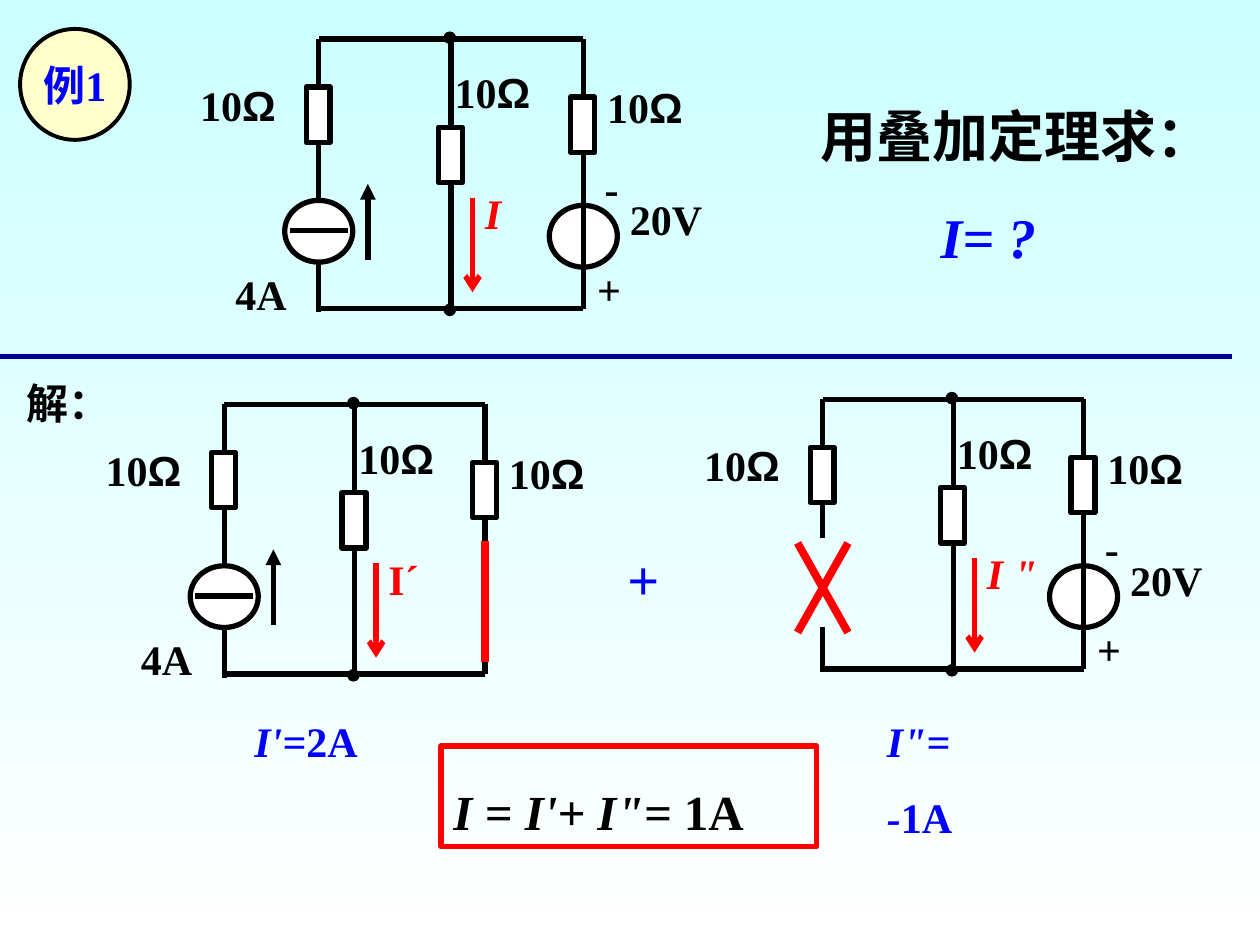
"""Build a slide that solves a circuit by superposition of its two sources."""
from lxml import etree
from pptx import Presentation
from pptx import util as u
from pptx.dml.color import RGBColor
from pptx.enum import shapes, text as t
from pptx.oxml.ns import qn

BLACK = RGBColor(0, 0, 0)
WHITE = RGBColor(255, 255, 255)
RED = RGBColor(255, 0, 0)
BLUE = RGBColor(0, 0, 255)
NAVY = RGBColor(0, 0, 0x99)
CREAM = RGBColor(255, 255, 0xCC)
CYAN = RGBColor(0xCC, 255, 255)
SERIF, SANS = "Times New Roman", "Arial"
OVAL, RECT = shapes.MSO_SHAPE.OVAL, shapes.MSO_SHAPE.RECTANGLE
LEFT, MID = t.PP_ALIGN.LEFT, t.PP_ALIGN.CENTER

deck = Presentation()
deck.slide_width, deck.slide_height = u.Inches(10), u.Inches(7.5)
COL, ROW = deck.slide_width / 100, deck.slide_height / 75
slide = deck.slides.add_slide(deck.slide_layouts[5])

back = slide.background.fill
back.gradient()
back.gradient_angle = 270
for stop, tint in zip(back.gradient_stops, (CYAN, WHITE)):
    stop.color.rgb = tint


def draw(kind, x, y, w, h, fill=None, line=BLACK, width=3, head=None):
    """Draw a preset shape, or a line running w columns and h rows if kind is None."""
    if kind is None:
        item = slide.shapes.add_connector(
            shapes.MSO_CONNECTOR.STRAIGHT, round(x * COL), round(y * ROW),
            round((x + w) * COL), round((y + h) * ROW))
    else:
        item = slide.shapes.add_shape(
            kind, round(x * COL), round(y * ROW), round(w * COL), round(h * ROW))
        item.shadow.inherit = False
        if fill is None:
            item.fill.background()
        else:
            item.fill.solid()
            item.fill.fore_color.rgb = fill
    if line is None:
        item.line.fill.background()
        return item
    item.line.color.rgb = line
    item.line.width = u.Pt(width)
    if head:
        etree.SubElement(item.line._get_or_add_ln(), qn("a:tailEnd"), type=head)
    if kind is None:
        etree.SubElement(item._element.spPr, qn("a:effectLst"))
    return item


def write(words, at=None, box=None, tail="", face=SERIF, size=24, tint=BLACK,
          slant=False, lead=1.5, align=LEFT, wrap=False, more=False):
    """Write words, then an upright tail in its own face, in a new or given box."""
    if box is None:
        x, y, w, h = at
        box = slide.shapes.add_textbox(
            round(x * COL), round(y * ROW), round(w * COL), round(h * ROW))
    frame = box.text_frame
    frame.word_wrap = wrap
    para = frame.add_paragraph() if more else frame.paragraphs[0]
    para.alignment, para.line_spacing = align, lead
    for part, name, lean in ((words, SERIF, slant), (tail, face, False)):
        if part:
            run = para.add_run()
            run.text = part
            font = run.font
            font.name, font.size, font.bold, font.italic = name, u.Pt(size), True, lean
            font.color.rgb = tint


badge = draw(OVAL, 1.6, 2.3, 8.7, 8.8, CREAM, width=2.25)
badge.text_frame.vertical_anchor = t.MSO_ANCHOR.MIDDLE
write("例1", box=badge, tint=BLUE, lead=1, align=MID)

title = slide.shapes.title
title.left, title.top = round(61.9 * COL), round(4.9 * ROW)
title.width, title.height = round(33.1 * COL), round(17 * ROW)
title.text_frame.auto_size = t.MSO_AUTO_SIZE.NONE
title.text_frame.vertical_anchor = t.MSO_ANCHOR.TOP
write("用叠加定理求：", box=title, size=32, align=MID)
write("I= ?", box=title, size=32, tint=BLUE, slant=True, align=MID, more=True)

circuits = (
    (25.3, 3.1, 10.5, "I", True, True, True),
    (17.8, 32.1, 10.35, "I´", False, True, False),
    (65.3, 31.7, 10.35, 'I "', True, False, True),
)
for x, y, step, name, slant, amps, volts in circuits:
    mid, end = x + step, x + 2 * step
    if volts:
        draw(OVAL, end - 2.7, y + 13.2, 5.4, 4.9, WHITE)
        write("+", (end + 0.1, y + 15.3, 3.9, 7))
        write("-", (end + 0.7, y + 7.3, 3.1, 7))
        write("20V", (end + 2.7, y + 9.8, 9.2, 7), wrap=True)
    for level in (0, 21.4):
        draw(None, x, y + level, 2 * step, 0)
    for post in (mid, end):
        draw(None, post, y, 0, 21.4)
    for top, drop in ((0, 21.7),) if amps else ((0, 11), (18.1, 3.5)):
        draw(None, x, y + top, 0, drop)
    for post, top, dx, dy in ((x, 3.8, -10.4, 2.7), (mid, 7, -0.7, 1.7),
                              (end, 4.6, 0.9, 2.9)):
        draw(RECT, post - 1, y + top, 1.9, 4.4, WHITE)
        write("10", (post + dx, y + dy, 9.2, 5), tail="Ω", face=SANS, lead=1, wrap=True)
    draw(None, mid + 1.7, y + 12.6, 0, 7.5, line=RED, head="arrow")
    write(name, (mid + 1.7, y + 11.3, 8, 5), tint=RED, slant=slant, lead=1, wrap=True)
    for level in (-0.6, 21):
        draw(OVAL, mid - 0.6, y + level, 1, 1, BLACK, None)
    if amps:
        draw(OVAL, x - 2.7, y + 12.8, 5.4, 4.9, WHITE)
        draw(None, x - 2.3, y + 15.2, 4.6, 0)
        draw(None, x + 3.9, y + 17.5, 0, -6, head="triangle")
        write("4A", (x - 7.6, y + 15.7, 6.1, 7))
    else:
        for way in (1, -1):
            draw(None, x - 2 * way, y + 11.4, 4 * way, 7.1, line=RED, width=4.5)
    if not volts:
        draw(None, end, y + 10.8, 0, 9.6, line=RED, width=4.5)

draw(None, 0, 28.3, 97.8, 0, line=NAVY)
write("解：", (1.1, 27.5, 8.6, 7))
write("+", (48.8, 40.1, 4.5, 9), size=32, tint=BLUE)
write("I'=", (19.2, 54.3, 10.2, 7), tail="2A", tint=BLUE, slant=True)
write('I"= -', (69.4, 54.3, 13, 7), tail="1A", tint=BLUE, slant=True)
total = draw(RECT, 35, 59.2, 29.8, 8, line=RED)
total.text_frame.vertical_anchor = t.MSO_ANCHOR.TOP
write("I = I'+ I\"= ", box=total, tail="1A", size=28, slant=True, wrap=True)

deck.save("out.pptx")
